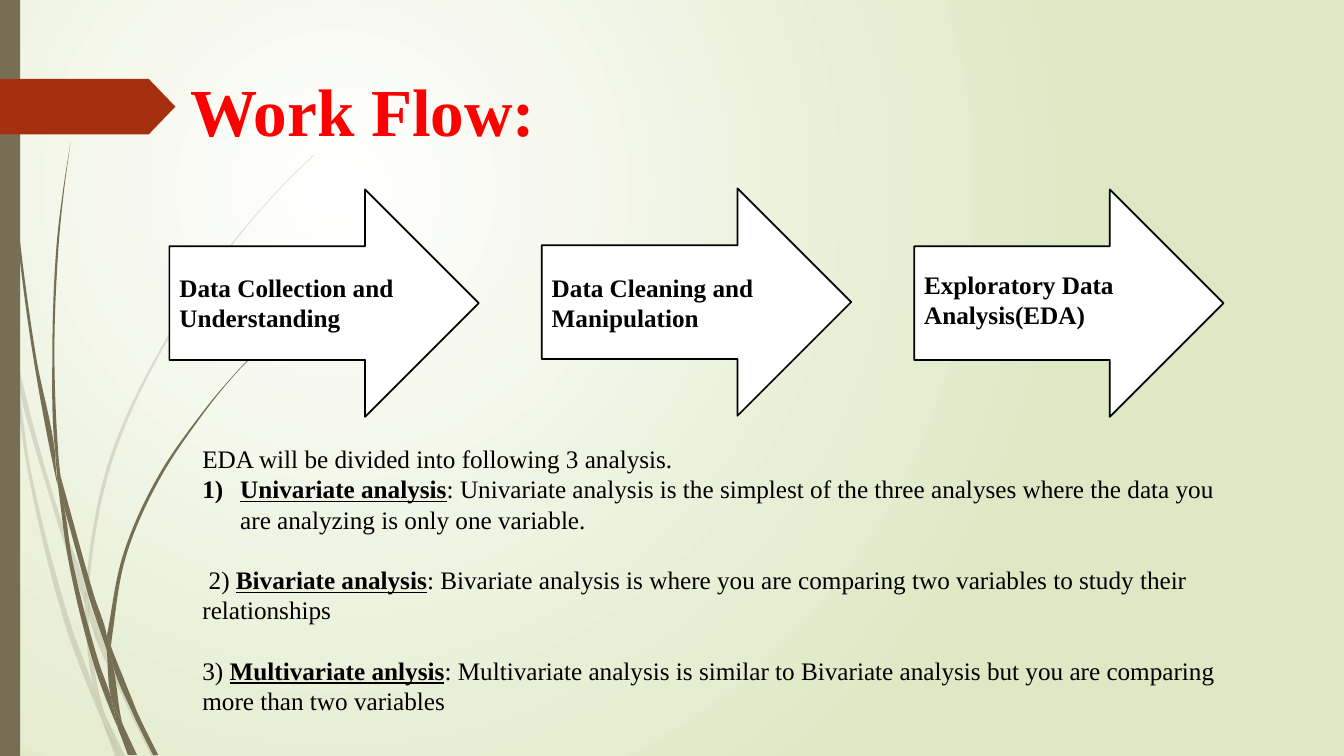
from dataclasses import dataclass

from lxml.etree import SubElement
from pptx import Presentation
from pptx.dml.color import RGBColor
from pptx.enum.shapes import MSO_SHAPE
from pptx.oxml.ns import qn
from pptx.shapes.autoshape import Shape
from pptx.slide import Slide
from pptx.text.text import TextFrame, _Paragraph
from pptx.util import Pt

WHITE = RGBColor(0xFF, 0xFF, 0xFF)
BLACK = RGBColor(0x00, 0x00, 0x00)
RED = RGBColor(0xFF, 0x00, 0x00)
RUST = RGBColor(0xA5, 0x30, 0x10)
OLIVE = RGBColor(0x76, 0x6F, 0x54)
PALE_GREEN = RGBColor(0xDF, 0xE8, 0xC4)

FONT = "Times New Roman"
SLIDE_WIDTH, SLIDE_HEIGHT = 960, 540
FIRST_STEP_LEFT, STEP_PITCH = 121, 266
Outline = list[tuple[float, float]]


@dataclass(frozen=True)
class Step:
    label: str
    arrow_top: float
    label_top: float


@dataclass(frozen=True)
class Analysis:
    prefix: str
    term: str
    explanation: str
    space_before: float
    numbered: bool = False


PALE_BLADES: list[Outline] = [
    [(7.9, 252), (6.5, 231.8), (0, 203), (0, 215.3), (7.2, 247.7)],
    [(41.8, 375.8), (60.5, 431.3), (61.2, 421.9), (44.6, 374.4), (25.9, 311.8), (10.1, 248.4),
     (12.2, 270.7), (25.9, 323.3)],
    [(66.2, 437), (63.4, 429.1), (63.4, 439.2), (88.6, 499.7), (108, 540), (111.6, 540),
     (91.4, 498.2)],
    [(85.7, 540), (89.3, 540), (75.6, 511.9)],
    [(67, 491.8), (50.4, 445.7), (22.3, 337.7), (12.2, 270.7), (7.9, 252), (20.2, 338.4),
     (46.8, 447.1), (66.2, 499), (72.7, 514.1), (71.3, 509)],
    [(60.5, 431.3), (62.6, 465.1), (67, 491.8), (69.1, 498.2), (75.6, 511.9), (74.2, 508.3),
     (65.5, 465.1), (63.4, 439.2), (63.4, 437.8)],
    [(63.4, 420.5), (79.2, 332.6), (115.2, 251.3), (164.9, 176.4), (193, 142.6), (208.8, 126),
     (224.6, 110.9), (224.6, 110.2), (208.1, 126), (193, 141.8), (164.2, 175.7),
     (113.8, 250.6), (77, 331.9), (61.2, 420.5), (61.2, 421.9), (63.4, 429.1)],
    [(72.7, 514.1), (82.1, 540), (85.7, 540)],
    [(63.4, 437.8), (63.4, 439.2), (63.4, 429.1), (61.2, 421.9), (60.5, 431.3)],
    [(69.1, 498.2), (67, 491.8), (71.3, 509), (72.7, 514.1), (85.7, 540), (75.6, 511.9)],
]
DARK_BLADES: list[Outline] = [
    [(5, 79.2), (12.2, 167.8), (23.8, 255.6), (40.3, 343.4), (41, 346.3), (39.6, 329),
     (39.6, 326.2), (25.9, 255.6), (13.7, 167), (5.8, 78.5), (3.6, 34.6), (2.9, 0),
     (2.2, 0), (2.9, 34.6)],
    [(63.4, 426.2), (76.3, 464.4), (76.3, 455.8), (76.3, 454.3), (67, 424.8), (43.2, 339.8),
     (46.1, 363.6)],
    [(81.4, 467.3), (79.2, 461.5), (79.9, 472.3), (95, 509.8), (109.4, 539.3), (113, 539.3),
     (97.9, 508.3)],
    [(79.2, 497.5), (70.6, 473), (51.8, 400.3), (46.1, 363.6), (41, 343.4), (49, 401),
     (67, 474.5), (79.9, 509.8), (84.2, 519.8), (83.5, 516.2)],
    [(43.2, 339.8), (41.8, 326.2), (38.9, 251.3), (41.8, 176.4), (45.4, 139), (50.4, 101.5),
     (44.6, 139), (40.3, 176.4), (37.4, 251.3), (39.6, 323.3)],
    [(95.8, 539.3), (97.9, 539.3), (87.8, 517.7)],
    [(41, 343.4), (46.1, 363.6), (43.2, 339.8), (39.6, 323.3), (39.6, 326.2)],
    [(79.9, 455.8), (90, 397.4), (113.8, 342.7), (147.6, 292.3), (166.3, 269.3),
     (176.4, 258.5), (187.9, 247.7), (187.2, 247.7), (176.4, 257.8), (166.3, 268.6),
     (146.9, 291.6), (112.3, 341.3), (87.8, 396.7), (76.3, 454.3), (79.2, 461.5)],
    [(84.2, 519.8), (91.4, 539.3), (94.3, 539.3)],
    [(76.3, 464.4), (79.2, 497.5), (83.5, 508.3), (87.8, 517.7), (87.1, 515.5),
     (79.9, 472.3), (78.5, 468.7)],
    [(76.3, 464.4), (78.5, 468.7), (79.9, 472.3), (79.2, 461.5), (76.3, 454.3), (76.3, 455.8)],
    [(83.5, 508.3), (79.2, 497.5), (83.5, 516.2), (84.2, 519.8), (93.6, 539.3),
     (95.8, 539.3), (87.8, 517.7)],
]

STEPS = [
    Step("Data Collection and Understanding", 135.3, 190.8),
    Step("Data Cleaning and Manipulation", 134.6, 190.8),
    Step("Exploratory Data Analysis(EDA)", 135.3, 188.6),
]
ANALYSES = [
    Analysis("", "Univariate analysis",
             ": Univariate analysis is the simplest of the three analyses where the data "
             "you are analyzing is only one variable.", 0, True),
    Analysis(" 2) ", "Bivariate analysis",
             ": Bivariate analysis is where you are comparing two variables to study "
             "their relationships", 21.6),
    Analysis("3) ", "Multivariate anlysis",
             ": Multivariate analysis is similar to Bivariate analysis but you are "
             "comparing more than two variables", 21.6),
]


def paint(shape: Shape, fill: RGBColor, line: RGBColor | None = None) -> Shape:
    shape.shadow.inherit = False
    shape.fill.solid()
    shape.fill.fore_color.rgb = fill
    if line is None:
        shape.line.fill.background()
    else:
        shape.line.color.rgb = line
        shape.line.width = Pt(1.25)
    return shape


def heading(before: complex, point: complex, after: complex, chord: complex) -> complex:
    arriving = (point - before) / abs(point - before)
    leaving = (after - point) / abs(after - point)
    is_smooth = (arriving * leaving.conjugate()).real > 0.85
    total = arriving + leaving
    return total / abs(total) if is_smooth else chord / abs(chord)


def curve_edges(shape: Shape) -> None:
    edges = list(shape.element.iter(qn("a:lnTo")))
    nodes = [complex(int(node.get("x")), int(node.get("y")))
             for node in shape.element.iter(qn("a:pt"))]
    for index, edge in enumerate(edges):
        before, start, end, after = (nodes[(index + offset) % len(nodes)]
                                     for offset in (-1, 0, 1, 2))
        chord = end - start
        reach = abs(chord) / 3
        controls = (start + reach * heading(before, start, end, chord),
                    end - reach * heading(start, end, after, chord))
        curve = SubElement(edge.getparent(), qn("a:cubicBezTo"))
        edge.getparent().replace(edge, curve)
        for node in (*controls, end):
            point = SubElement(curve, qn("a:pt"))
            point.set("x", str(round(node.real)))
            point.set("y", str(round(node.imag)))


def draw_blade(slide: Slide, outline: Outline, opacity: int) -> None:
    points = [(Pt(x), Pt(y)) for x, y in outline]
    builder = slide.shapes.build_freeform(*points[0])
    builder.add_line_segments(points[1:], close=True)
    shape = paint(builder.convert_to_shape(), OLIVE)
    curve_edges(shape)
    if opacity < 100:
        color = shape.element.spPr.find(qn("a:solidFill")).find(qn("a:srgbClr"))
        SubElement(color, qn("a:alpha")).set("val", str(opacity * 1000))


def add_shape(slide: Slide, kind: MSO_SHAPE, left: float, top: float,
              width: float, height: float) -> Shape:
    return slide.shapes.add_shape(kind, Pt(left), Pt(top), Pt(width), Pt(height))


def add_text_box(slide: Slide, left: float, top: float,
                 width: float, height: float) -> TextFrame:
    text_box = slide.shapes.add_textbox(Pt(left), Pt(top), Pt(width), Pt(height))
    text_box.text_frame.word_wrap = True
    return text_box.text_frame


def add_run(paragraph: _Paragraph, text: str, size: float = 18, bold: bool = False,
            underline: bool = False, color: RGBColor = BLACK) -> None:
    run = paragraph.add_run()
    run.text = text
    run.font.name = FONT
    run.font.size = Pt(size)
    run.font.bold = bold
    run.font.underline = underline
    run.font.color.rgb = color


def set_indent(paragraph: _Paragraph, margin: float, indent: float = 0) -> None:
    properties = paragraph._p.get_or_add_pPr()
    properties.set("marL", str(Pt(margin)))
    properties.set("indent", str(Pt(indent)))


def draw_background(slide: Slide) -> None:
    fill = slide.background.fill
    fill.gradient()
    for stop, color in zip(fill.gradient_stops, (WHITE, PALE_GREEN)):
        stop.color.rgb = color
    gradient = next(slide.element.iter(qn("a:gradFill")))
    gradient.remove(gradient.find(qn("a:lin")))
    circle = SubElement(gradient, qn("a:path"))
    circle.set("path", "circle")
    focus = SubElement(circle, qn("a:fillToRect"))
    for side, value in zip("ltrb", (50000, 50000, 100000, 100000)):
        focus.set(side, str(value))


def draw_analyses(slide: Slide) -> None:
    body = add_text_box(slide, 128.9, 313.2, 771, 203.8)
    introduction = body.paragraphs[0]
    set_indent(introduction, 8.6)
    add_run(introduction, "EDA will be divided into following 3 analysis.")
    for analysis in ANALYSES:
        paragraph = body.add_paragraph()
        paragraph.space_before = Pt(analysis.space_before)
        if analysis.numbered:
            set_indent(paragraph, 35.6, -27)
            numbering = SubElement(paragraph._p.get_or_add_pPr(), qn("a:buAutoNum"))
            numbering.set("type", "arabicParenR")
        else:
            set_indent(paragraph, 8.6)
            add_run(paragraph, analysis.prefix)
        add_run(paragraph, analysis.term, bold=True, underline=True)
        add_run(paragraph, analysis.explanation)


def main() -> None:
    presentation = Presentation()
    presentation.slide_width, presentation.slide_height = Pt(SLIDE_WIDTH), Pt(SLIDE_HEIGHT)
    slide = presentation.slides.add_slide(presentation.slide_layouts[6])
    draw_background(slide)
    for blades, opacity in ((PALE_BLADES, 20), (DARK_BLADES, 100)):
        for outline in blades:
            draw_blade(slide, outline, opacity)
    paint(add_shape(slide, MSO_SHAPE.RECTANGLE, 0, 0, 14.4, SLIDE_HEIGHT), OLIVE)
    tag = paint(add_shape(slide, MSO_SHAPE.PENTAGON, 0, 56.3, 125.3, 39.8), RUST)
    tag.adjustments[0] = 0.48
    title = add_text_box(slide, 128.9, 46.1, 702, 100.8)
    add_run(title.paragraphs[0], "Work Flow:", 48, bold=True, color=RED)
    for index, step in enumerate(STEPS):
        left = FIRST_STEP_LEFT + index * STEP_PITCH
        arrow = add_shape(slide, MSO_SHAPE.RIGHT_ARROW, left, step.arrow_top, 221, 162.4)
        paint(arrow, WHITE, BLACK)
        label = add_text_box(slide, left, step.label_top, 174.2, 51)
        add_run(label.paragraphs[0], step.label, bold=True)
    draw_analyses(slide)
    presentation.save("out.pptx")


if __name__ == "__main__":
    main()
